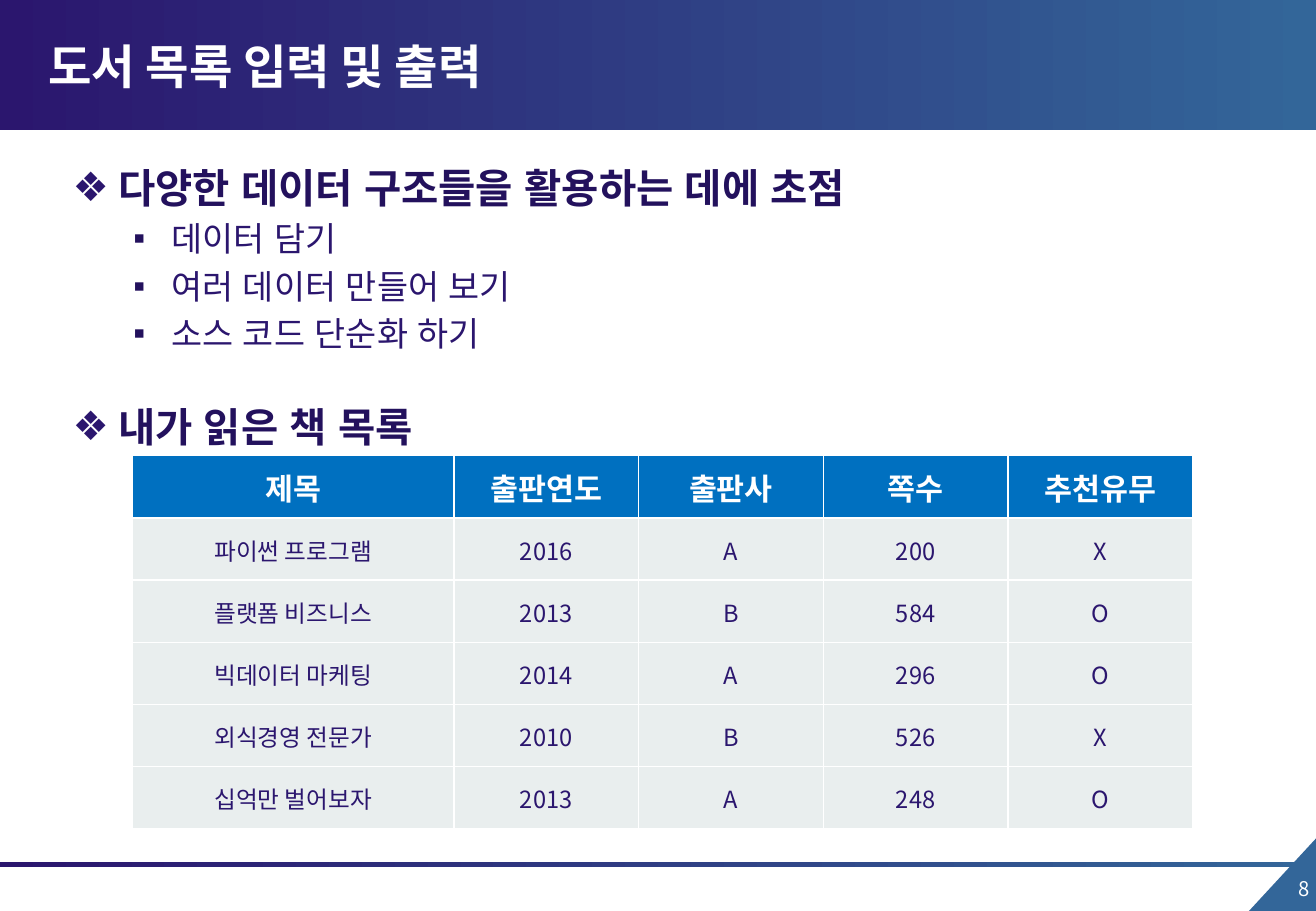
import pptx
import pptx.util
import pptx.dml.color
import pptx.enum.shapes
import pptx.enum.text
import pptx.oxml
import pptx.oxml.ns
from dataclasses import dataclass
from lxml import etree

Cm = pptx.util.Cm
Pt = pptx.util.Pt
Shape = pptx.enum.shapes.MSO_SHAPE
Align = pptx.enum.text.PP_ALIGN
Anchor = pptx.enum.text.MSO_ANCHOR


@dataclass(frozen=True)
class Theme:
    navy: str = "2B166E"
    dark: str = "23115D"
    steel: str = "336699"
    blue: str = "0070C0"
    pale: str = "E9EEEE"
    white: str = "FFFFFF"
    sans: str = "Noto Sans CJK KR"
    body: str = "Arial"
    title: int = 28
    head: int = 24
    item: int = 20
    label: int = 18
    cell: int = 14
    note: int = 12


def rgb(code):
    return pptx.dml.color.RGBColor.from_string(code)


def add(parent, tag, **attrs):
    node = etree.SubElement(parent, pptx.oxml.ns.qn(tag))
    for name, value in attrs.items():
        node.set(name, str(value))
    return node


def write(para, text, *, size, color, font, bold=False, align=Align.LEFT, before=0):
    para.alignment = align
    para.space_before = Pt(before)
    run = para.add_run()
    run.text = text
    run.font.size = Pt(size)
    run.font.bold = bold
    run.font.color.rgb = rgb(color)
    run.font.name = font
    add(run.font._element, "a:ea", typeface=font)


class Deck:
    def __init__(self, theme, width, height):
        self.theme = theme
        self.file = pptx.Presentation()
        self.file.slide_width, self.file.slide_height = width, height
        self.slide = self.file.slides.add_slide(self.file.slide_layouts[6])

    def shape(self, kind, box, color, turn=0):
        item = self.slide.shapes.add_shape(kind, *map(Cm, box))
        item.shadow.inherit = False
        item.line.fill.background()
        item.rotation = turn
        item.fill.solid()
        item.fill.fore_color.rgb = rgb(color)
        return item

    def band(self, box):
        fill = self.shape(Shape.RECTANGLE, box, self.theme.navy).fill
        fill.gradient()
        fill.gradient_angle = 0
        for stop, color in zip(fill.gradient_stops, (self.theme.navy, self.theme.steel)):
            stop.color.rgb = rgb(color)

    def frame(self, box, anchor=Anchor.TOP):
        frame = self.slide.shapes.add_textbox(*map(Cm, box)).text_frame
        frame.word_wrap = True
        frame.vertical_anchor = anchor
        return frame

    def text(self, box, text, anchor=Anchor.TOP, **style):
        write(self.frame(box, anchor).paragraphs[0], text, **style)

    def bullet(self, para, char, color, left, hang):
        props = para._p.get_or_add_pPr()
        props.set("marL", str(Cm(left)))
        props.set("indent", str(-Cm(hang)))
        add(add(props, "a:buClr"), "a:srgbClr", val=color)
        add(props, "a:buFont", typeface=self.theme.body)
        add(props, "a:buChar", char=char)

    def outline(self, box, groups):
        look = self.theme
        frame = self.frame(box)
        para = frame.paragraphs[0]
        for order, (head, items) in enumerate(groups):
            if order:
                para = frame.add_paragraph()
            write(para, head, size=look.head, color=look.dark, font=look.body,
                  bold=True, before=29 if order else 0)
            self.bullet(para, "❖", look.navy, 0.95, 0.95)
            for item in items:
                para = frame.add_paragraph()
                write(para, item, size=look.item, color=look.navy,
                      font=look.body, before=4)
                self.bullet(para, "▪", look.dark, 2.06, 0.79)

    def border(self, cell):
        props = cell._tc.get_or_add_tcPr()
        for order, side in enumerate(("a:lnL", "a:lnR", "a:lnT", "a:lnB")):
            line = pptx.oxml.parse_xml(
                f'<{side} {pptx.oxml.ns.nsdecls("a")} w="{Pt(1)}"><a:solidFill>'
                f'<a:srgbClr val="{self.theme.white}"/></a:solidFill></{side}>')
            props.insert(order, line)

    def table(self, box, rows, widths):
        look = self.theme
        grid = self.slide.shapes.add_table(len(rows), len(widths), *map(Cm, box)).table
        for column, width in zip(grid.columns, widths):
            column.width = Cm(width)
        top = dict(size=look.label, color=look.white, bold=True)
        rest = dict(size=look.cell, color=look.navy)
        for r, row in enumerate(rows):
            for c, value in enumerate(row):
                cell = grid.cell(r, c)
                cell.fill.solid()
                cell.fill.fore_color.rgb = rgb(look.pale if r else look.blue)
                cell.vertical_anchor = Anchor.MIDDLE
                cell.margin_left = cell.margin_right = cell.margin_top = Cm(0.03)
                cell.margin_bottom = 0
                write(cell.text_frame.paragraphs[0], value, font=look.sans,
                      align=Align.CENTER, **(rest if r else top))
                self.border(cell)


look = Theme()
wide = 27.51
deck = Deck(look, Cm(wide), Cm(19.05))

# Header, footer line and page corner
deck.shape(Shape.RIGHT_TRIANGLE, (26.04, 17.55, 1.57, 1.45), look.steel, turn=270)
deck.band((0, 18.02, wide, 0.11))
deck.band((0, 0, wide, 2.72))
deck.text((26.07, 18.19, 1.55, 1.04), "8", size=look.note, color=look.white,
          font=look.sans, align=Align.RIGHT)
deck.text((0.76, 0.58, 20.62, 1.57), "도서 목록 입력 및 출력", anchor=Anchor.MIDDLE,
          size=look.title, color=look.white, font=look.sans, bold=True)

# Main points
deck.outline((1.27, 3.28, 24.89, 6.25), [
    ("다양한 데이터 구조들을 활용하는 데에 초점",
     ["데이터 담기", "여러 데이터 만들어 보기", "소스 코드 단순화 하기"]),
    ("내가 읽은 책 목록", []),
])

# Book list
deck.table((2.77, 9.53, 22.16, 7.8), [
    ("제목", "출판연도", "출판사", "쪽수", "추천유무"),
    ("파이썬 프로그램", "2016", "A", "200", "X"),
    ("플랫폼 비즈니스", "2013", "B", "584", "O"),
    ("빅데이터 마케팅", "2014", "A", "296", "O"),
    ("외식경영 전문가", "2010", "B", "526", "X"),
    ("십억만 벌어보자", "2013", "A", "248", "O"),
], [6.72] + [3.86] * 4)

deck.file.save("out.pptx")
